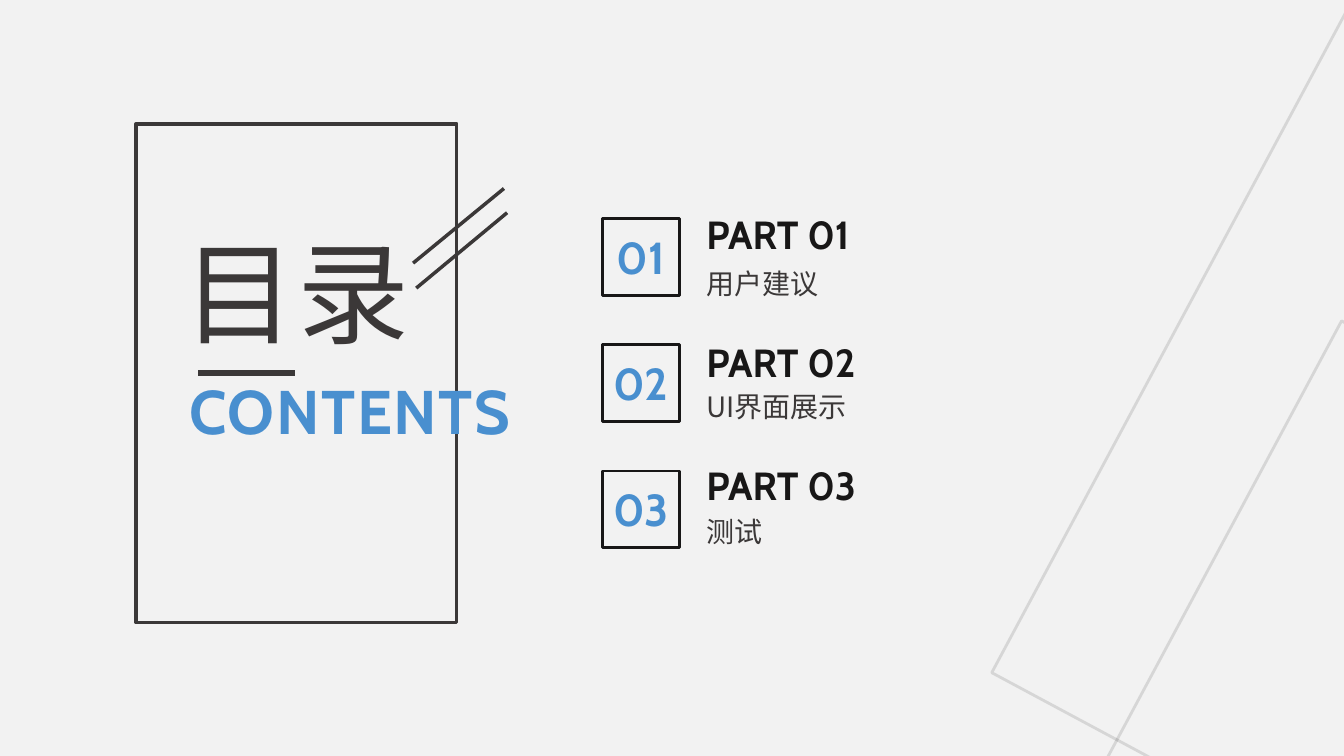
from dataclasses import dataclass

from lxml.etree import SubElement
from pptx import Presentation
from pptx.dml.color import RGBColor
from pptx.enum.shapes import MSO_CONNECTOR as CONN, MSO_SHAPE as SHAPE
from pptx.enum.text import MSO_AUTO_SIZE as FIT, PP_ALIGN as ALIGN
from pptx.oxml.ns import qn
from pptx.util import Cm, Pt

COLORS = {
    "paper": "F2F2F2",
    "gray": "3B3838",
    "black": "181717",
    "blue": "498FCF",
    "indigo": "2B37BE",
}
LATIN = "Cabin"
HAN = "Noto Sans CJK SC"


@dataclass
class Box:
    left: float
    top: float
    width: float
    height: float
    color: str
    weight: float
    rotation: float = 0
    opacity: int = 100


@dataclass
class Stroke:
    x1: float
    y1: float
    x2: float
    y2: float
    weight: float


@dataclass
class Label:
    left: float
    top: float
    width: float
    height: float
    text: str
    size: float
    font: str
    color: str
    bold: bool = False
    gradient: bool = False
    spacing: int = 0
    line_pt: float = 0
    centered: bool = False


@dataclass
class Part:
    title_top: float
    caption_top: float
    caption: str


BACKDROP = [
    Box(28.37, 3.51, 19.08, 19.08, "gray", 2, 298.2, 15),
    Box(28.17, 11.46, 19.08, 19.08, "gray", 2, 298.2, 15),
]
FRAME = Box(3.43, 3.12, 8.08, 12.57, "gray", 2.5)
CONTENTS = Label(4.52, 9.27, 11.99, 2.13, "CONTENTS", 44, LATIN, "blue",
                 bold=True, gradient=True, spacing=120)
HEADING = Label(4.37, 7.06, 10.57, 2.08, "目录", 80, HAN, "gray",
                spacing=130, line_pt=52)
STROKES = [
    Stroke(5, 9.4, 7.44, 9.4, 4),
    Stroke(12.7, 4.75, 10.41, 6.63, 2.5),
    Stroke(12.78, 5.36, 10.49, 7.26, 2.5),
]
PARTS = [
    Part(5.18, 6.58, "用户建议"),
    Part(8.41, 9.7, "UI界面展示"),
    Part(11.51, 12.85, "测试"),
]
SQUARE_LEFT, SQUARE_TOP, SQUARE_SIZE, SQUARE_STEP = 15.19, 5.51, 1.93, 3.18
TEXT_LEFT = 17.55


def rgb(name: str) -> RGBColor:
    return RGBColor.from_string(COLORS[name])


def add_box(slide, box: Box) -> None:
    sp = slide.shapes.add_shape(SHAPE.RECTANGLE, Cm(box.left), Cm(box.top),
                                Cm(box.width), Cm(box.height))
    sp.shadow.inherit = False
    sp.fill.background()
    sp.line.color.rgb = rgb(box.color)
    sp.line.width = Pt(box.weight)
    sp.rotation = box.rotation
    if box.opacity < 100:
        color = sp.line._get_or_add_ln().find(".//" + qn("a:srgbClr"))
        SubElement(color, qn("a:alpha"), val=str(box.opacity * 1000))


def add_stroke(slide, stroke: Stroke) -> None:
    line = slide.shapes.add_connector(CONN.STRAIGHT, Cm(stroke.x1), Cm(stroke.y1),
                                      Cm(stroke.x2), Cm(stroke.y2))
    line.line.color.rgb = rgb("gray")
    line.line.width = Pt(stroke.weight)
    SubElement(line._element.spPr, qn("a:effectLst"))


def add_label(slide, label: Label) -> None:
    sp = slide.shapes.add_textbox(Cm(label.left), Cm(label.top),
                                  Cm(label.width), Cm(label.height))
    tf = sp.text_frame
    tf.word_wrap = True
    tf.auto_size = FIT.SHAPE_TO_FIT_TEXT
    p = tf.paragraphs[0]
    if label.centered:
        p.alignment = ALIGN.CENTER
    if label.line_pt:
        p.line_spacing = Pt(label.line_pt)
    r = p.add_run()
    r.text = label.text
    font = r.font
    font.size = Pt(label.size)
    font.bold = label.bold
    if label.gradient:
        font.fill.gradient()
        font.fill.gradient_angle = 225
        for stop, name in zip(font.fill.gradient_stops, (label.color, "indigo")):
            stop.color.rgb = rgb(name)
    else:
        font.color.rgb = rgb(label.color)
    font.name = label.font
    props = r._r.get_or_add_rPr()
    SubElement(props, qn("a:ea"), typeface=label.font)
    if label.spacing:
        props.set("spc", str(label.spacing))


def add_part(slide, index: int, part: Part) -> None:
    number = f"{index + 1:02d}"
    top = SQUARE_TOP + index * SQUARE_STEP
    add_box(slide, Box(SQUARE_LEFT, top, SQUARE_SIZE, SQUARE_SIZE, "black", 2))
    add_label(slide, Label(SQUARE_LEFT, top + 0.15, SQUARE_SIZE, 1.63, number, 32,
                           LATIN, "blue", bold=True, gradient=True, centered=True))
    add_label(slide, Label(TEXT_LEFT, part.title_top, 5.72, 1.45, f"PART {number}",
                           28, LATIN, "black", bold=True))
    add_label(slide, Label(TEXT_LEFT, part.caption_top, 8.66, 1.12, part.caption,
                           20, HAN, "gray"))


def main() -> None:
    prs = Presentation()
    prs.slide_width, prs.slide_height = Cm(33.87), Cm(19.05)
    s = prs.slides.add_slide(prs.slide_layouts[6])
    s.background.fill.solid()
    s.background.fill.fore_color.rgb = rgb("paper")
    for box in [*BACKDROP, FRAME]:
        add_box(s, box)
    for label in (CONTENTS, HEADING):
        add_label(s, label)
    for stroke in STROKES:
        add_stroke(s, stroke)
    for index, part in enumerate(PARTS):
        add_part(s, index, part)
    prs.save("out.pptx")


if __name__ == "__main__":
    main()
